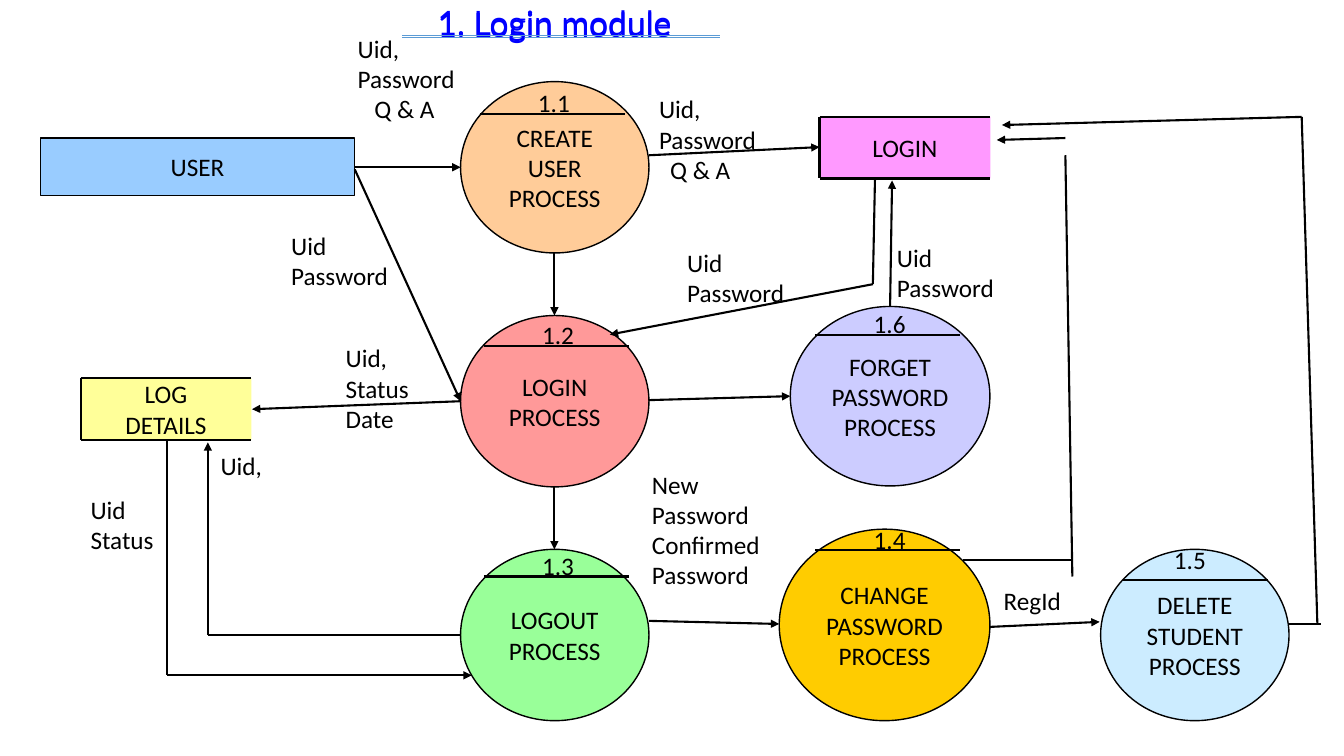
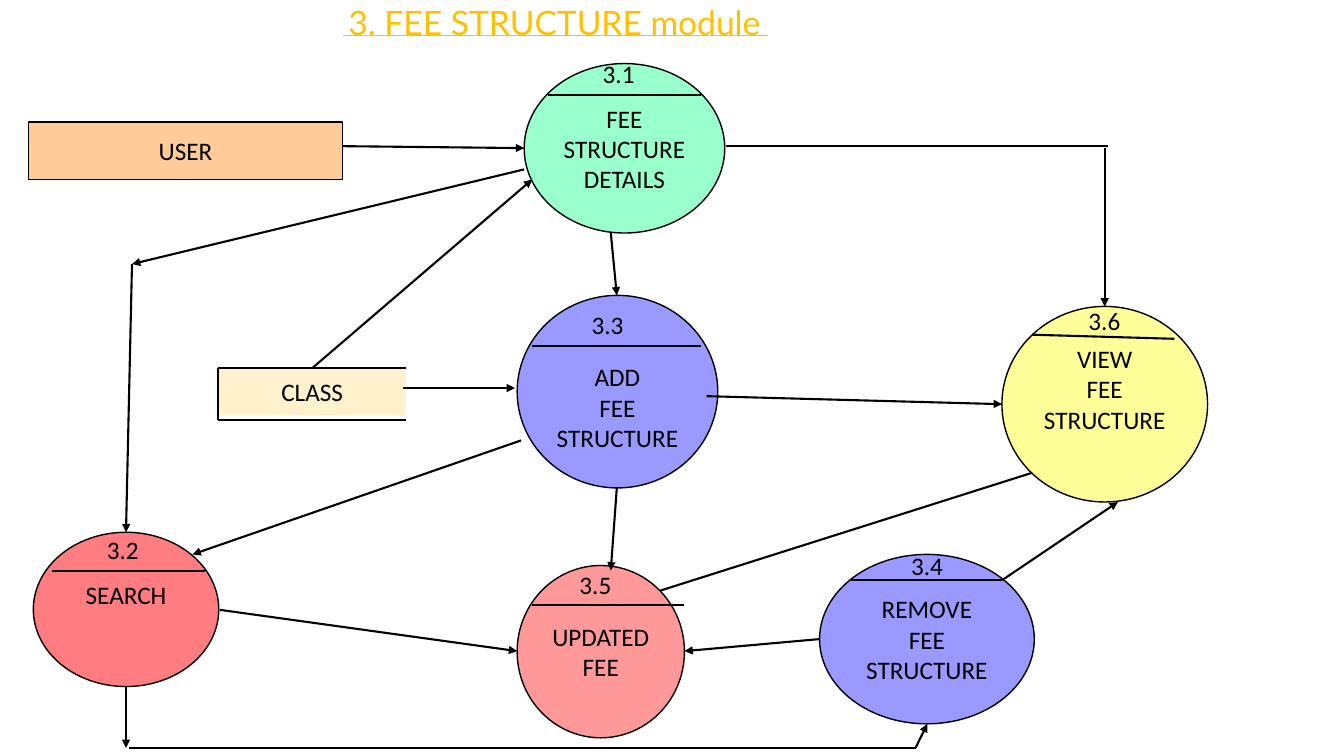
from dataclasses import dataclass
from itertools import pairwise

from lxml.etree import SubElement
from pptx import Presentation
from pptx.dml.color import RGBColor
from pptx.enum.shapes import MSO_CONNECTOR as Connector, MSO_SHAPE as Preset
from pptx.enum.text import MSO_ANCHOR as Anchor, PP_ALIGN as Align
from pptx.oxml.ns import qn
from pptx.util import Pt


@dataclass(frozen=True)
class Theme:
    ink: str = "000000"
    blue: str = "99CCFF"
    peach: str = "FFCC99"
    rose: str = "FF9999"
    coral: str = "FF7C80"
    green: str = "99FF99"
    mint: str = "99FFCC"
    gold: str = "FFCC00"
    sky: str = "CCECFF"
    lilac: str = "CCCCFF"
    violet: str = "9999FF"
    yellow: str = "FFFF99"
    pink: str = "FF99FF"
    cream: str = "FFF2CC"
    login_title: str = "0000FF"
    login_rule: str = "5B9BD5"
    fee_title: str = "FFC000"
    body_font: str = "Calibri"
    title_font: str = "Lato"
    body_size: float = 18
    title_size: float = 24
    outline: float = 1
    flow: float = 1.5
    rule: float = 0.5


THEME = Theme()
LINE_HEIGHT = 22


def rgb(code):
    return RGBColor.from_string(code)


def write(shape, lines, *, size=THEME.body_size, font=THEME.body_font,
          color=THEME.ink, align=Align.LEFT, anchor=Anchor.TOP,
          margins=(7.2, 3.6, 7.2, 3.6), last_indent=0):
    """Fill a shape with one paragraph per line; margins are left, top, right, bottom."""
    frame = shape.text_frame
    frame.word_wrap = True
    frame.vertical_anchor = anchor
    (frame.margin_left, frame.margin_top,
     frame.margin_right, frame.margin_bottom) = map(Pt, margins)
    for index, line in enumerate(lines):
        para = frame.add_paragraph() if index else frame.paragraphs[0]
        para.alignment = align
        span = para.add_run()
        span.text = line
        span.font.size = Pt(size)
        span.font.name = font
        span.font.color.rgb = rgb(color)
    if last_indent:
        para._p.get_or_add_pPr().set("marL", str(Pt(last_indent)))


def add_text(page, box, lines, **style):
    write(page.shapes.add_textbox(*map(Pt, box)), lines, **style)


def add_line(page, start, end, color=THEME.ink, width=THEME.flow, arrow=False):
    line = page.shapes.add_connector(Connector.STRAIGHT, *map(Pt, (*start, *end)))
    line.line.color.rgb = rgb(color)
    line.line.width = Pt(width)
    if arrow:
        SubElement(line.line._get_or_add_ln(), qn("a:tailEnd"), type="triangle")
    SubElement(line._element.spPr, qn("a:effectLst"))


def add_flow(page, *points, arrow=True):
    """Join the points by straight lines, with an arrowhead at the last one."""
    for start, end in pairwise(points):
        add_line(page, start, end, arrow=arrow and end == points[-1])


def add_node(page, preset, box, fill, lines, outlined=True, margins=(4, 0, 4, 0)):
    node = page.shapes.add_shape(preset, *map(Pt, box))
    node.shadow.inherit = False
    node.fill.solid()
    node.fill.fore_color.rgb = rgb(fill)
    if outlined:
        node.line.color.rgb = rgb(THEME.ink)
        node.line.width = Pt(THEME.outline)
    else:
        node.line.fill.background()
    write(node, lines, align=Align.CENTER, anchor=Anchor.MIDDLE, margins=margins)


def add_entity(page, box, fill, name):
    add_node(page, Preset.RECTANGLE, box, fill, [name])


def add_store(page, box, fill, lines, fill_height=None):
    """Data store: a filled box that is open on its right side."""
    left, top, width, height = box
    add_node(page, Preset.RECTANGLE, (left, top, width, fill_height or height),
             fill, lines, outlined=False)
    right, bottom = left + width, top + height
    for start, end in (((left, top), (left, bottom)),
                       ((left, top), (right, top)),
                       ((left, bottom), (right, bottom))):
        add_line(page, start, end)


def add_process(page, box, fill, number, lines, divider, number_offset=(34.5, -22.3),
                slope=0, space_above=0, space_below=0):
    """Circle with a name; divider is x, y, width inside the box, the number sits by it."""
    add_node(page, Preset.OVAL, box, fill, lines,
             margins=(4, space_above, 4, space_below))
    x, y, width = box[0] + divider[0], box[1] + divider[1], divider[2]
    add_line(page, (x, y), (x + width, y + slope))
    add_text(page, (x + number_offset[0], y + number_offset[1], 77, 29), [number])


def add_label(page, left, top, lines, last_indent=0):
    add_text(page, (left, top, 100, LINE_HEIGHT * len(lines) + 7), lines,
             last_indent=last_indent)


def add_title(page, top, text, color, rule_color, rule_width, rule_left):
    left = 178.6
    add_text(page, (left, top, 435, 36), [text], size=THEME.title_size,
             font=THEME.title_font, color=color, align=Align.CENTER)
    start, y = left + rule_left, top + 27.4
    add_line(page, (start, y), (start + rule_width, y), rule_color, THEME.rule)


def build_login(page):
    size, column, rule = (134.6, 122.4), 329, 103.5
    add_process(page, (column, 58.3, *size), THEME.peach, "1.1",
                ["CREATE USER", "PROCESS"], (13.7, 23, rule))
    add_process(page, (column, 225.4, *size), THEME.rose, "1.2",
                ["LOGIN", "PROCESS"], (16.6, 21.6, rule))
    add_process(page, (column, 392.4, *size), THEME.green, "1.3",
                ["LOGOUT", "PROCESS"], (16.6, 19.4, rule))
    add_process(page, (556.6, 378, 150.5, 136.8), THEME.gold, "1.4",
                ["CHANGE", "PASSWORD", "PROCESS"], (25.9, 15.1, rule))
    add_process(page, (786.2, 392.4, *size), THEME.sky, "1.5",
                ["DELETE", "STUDENT", "PROCESS"], (15.8, 21.6, rule), (29.5, -28.8))
    add_process(page, (564.5, 218.9, 142.6, 128.2), THEME.lilac, "1.6",
                ["FORGET", "PASSWORD", "PROCESS"], (18, 20.2, rule))
    add_entity(page, (28.8, 98.6, 224.6, 41), THEME.blue, "USER")
    add_store(page, (57.6, 270.2, 122, 44), THEME.yellow, ["LOG", "DETAILS"])
    add_store(page, (585.4, 83.5, 122, 44), THEME.pink, ["LOGIN"])

    for points in (
        ((253.4, 119.5), (329, 119.5)),
        ((253.4, 121), (329, 286.6)),
        ((396, 180), (396, 225.4)),
        ((463.7, 285.8), (564.5, 283)),
        ((396, 347), (396, 392.4)),
        ((463.7, 443.5), (556.6, 445.7)),
        ((707, 447.8), (785.5, 444.2)),
        ((329, 286.6), (180, 292.3)),
        ((761, 98.6), (712, 100)),
        ((941, 445.7), (929.8, 83.5), (715.7, 89.3)),
        ((463.7, 110.9), (585.4, 105.1)),
        ((119.3, 314.6), (119.3, 482.4), (337, 482.4)),
        ((329, 453.6), (148.5, 453.6), (148.5, 316)),
        ((625, 128.2), (623.5, 203), (435.6, 239)),
        ((635.8, 218.9), (637.2, 128.9)),
    ):
        add_flow(page, *points)
    for points in (
        ((687.6, 400.3), (766, 400.3)),
        ((766, 411.8), (761, 110.9)),
        ((920.9, 445.7), (943.9, 445.7)),
    ):
        add_flow(page, *points, arrow=False)

    credentials = ["Uid", "Password"]
    question = ["Uid,", "Password", "Q & A"]
    add_label(page, 248.4, 20.2, question, last_indent=12)
    add_label(page, 463.7, 63.4, question, last_indent=8)
    for left, top in ((483.8, 172.8), (200.9, 160.6), (633.6, 169.2)):
        add_label(page, left, top, credentials)
    add_label(page, 57.6, 349.2, ["Uid", "Status"])
    add_label(page, 150.5, 318.2, ["Uid,"])
    add_label(page, 458.6, 331.5, ["New Password", "Confirmed", "Password"])
    add_label(page, 239.8, 241.2, ["Uid,", "Status", "Date"])
    add_label(page, 709.9, 414.7, ["RegId"])
    for top in (-0.7, -2.2):
        add_title(page, top, "1. Login module", THEME.login_title,
                  THEME.login_rule, 226.8, 108.7)


def build_fee_structure(page):
    add_title(page, -2.2, "3. FEE STRUCTURE module", THEME.fee_title,
              THEME.fee_title, 303.8, 66.2)
    rule = 108.7
    add_process(page, (374.4, 45.4, 143.3, 121), THEME.mint, "3.1",
                ["FEE", "STRUCTURE", "DETAILS"], (17.3, 22.3, rule), (31.7, -29.5))
    add_process(page, (23.8, 380.2, 132.5, 110.2), THEME.coral, "3.2",
                ["SEARCH"], (13.7, 27.4, rule), (31.7, -29.5),
                space_below=LINE_HEIGHT)
    add_process(page, (369.4, 211, 143.3, 137.5), THEME.violet, "3.3",
                ["ADD", "FEE", "STRUCTURE"], (10.8, 36, 120.2), (35.3, -29.5),
                space_above=LINE_HEIGHT)
    add_process(page, (585.4, 396, 153.4, 121), THEME.violet, "3.4",
                ["REMOVE", "FEE", "STRUCTURE"], (22.3, 18, rule), (36, -24.5))
    add_process(page, (369.4, 403.9, 119.5, 123.1), THEME.rose, "3.5",
                ["UPDATED", "FEE"], (10.8, 28.1, rule), (26.6, -28.8))
    add_process(page, (715.7, 218.9, 146.9, 139.7), THEME.yellow, "3.6",
                ["VIEW", "FEE", "STRUCTURE"], (21.6, 20.2, 101.5), (33.1, -24.5),
                slope=2.9, space_below=LINE_HEIGHT)
    add_entity(page, (20.2, 87.1, 224.6, 41), THEME.peach, "USER")
    add_store(page, (156, 262.8, 134, 37), THEME.cream, ["CLASS"], fill_height=34)

    for points in (
        ((244.8, 104.4), (374.4, 105.8)),
        ((504.7, 283), (715.7, 288.7)),
        ((436.3, 166.3), (440.6, 211)),
        ((440.6, 348.5), (436.3, 407.5)),
        ((789.1, 105.8), (789.1, 218.9)),
        ((716.4, 414), (798.5, 358.6)),
        ((223.2, 262.8), (380.2, 128.2)),
        ((372.2, 314.6), (137.5, 396)),
        ((157, 435.6), (369.4, 465.1)),
        ((288, 277.2), (367.9, 277.2)),
        ((585.4, 456.5), (488.9, 465.1)),
        ((92.2, 534.2), (654, 534.2), (662.4, 517)),
        ((374.4, 121), (94.3, 188.6)),
        ((94.3, 188.6), (90, 380.2)),
        ((90, 490.3), (90, 534.2)),
    ):
        add_flow(page, *points)
    for points in (
        ((471.6, 421.9), (737.3, 337.7)),
        ((518.4, 104.4), (791.3, 104.4)),
    ):
        add_flow(page, *points, arrow=False)


def main():
    deck = Presentation()
    deck.slide_width, deck.slide_height = Pt(960), Pt(540)
    for build in (build_login, build_fee_structure):
        build(deck.slides.add_slide(deck.slide_layouts[6]))
    deck.save("out.pptx")


if __name__ == "__main__":
    main()
